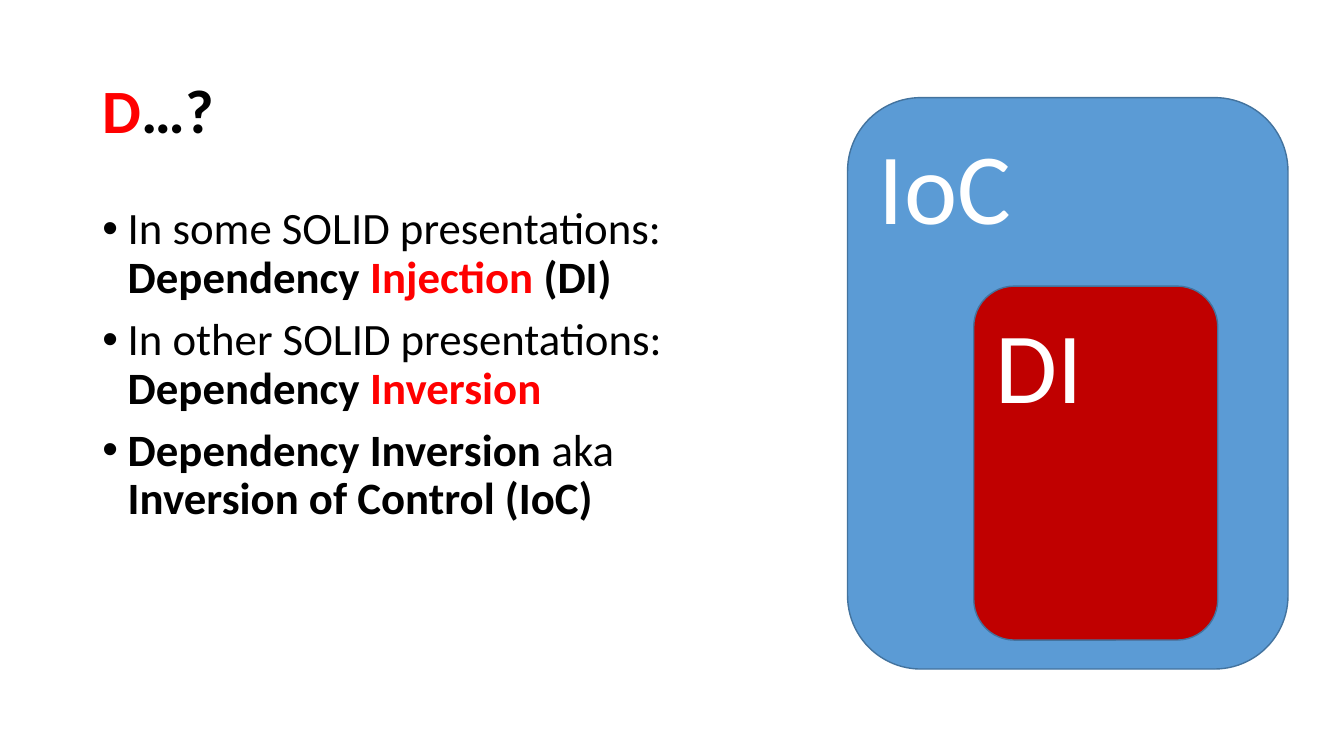
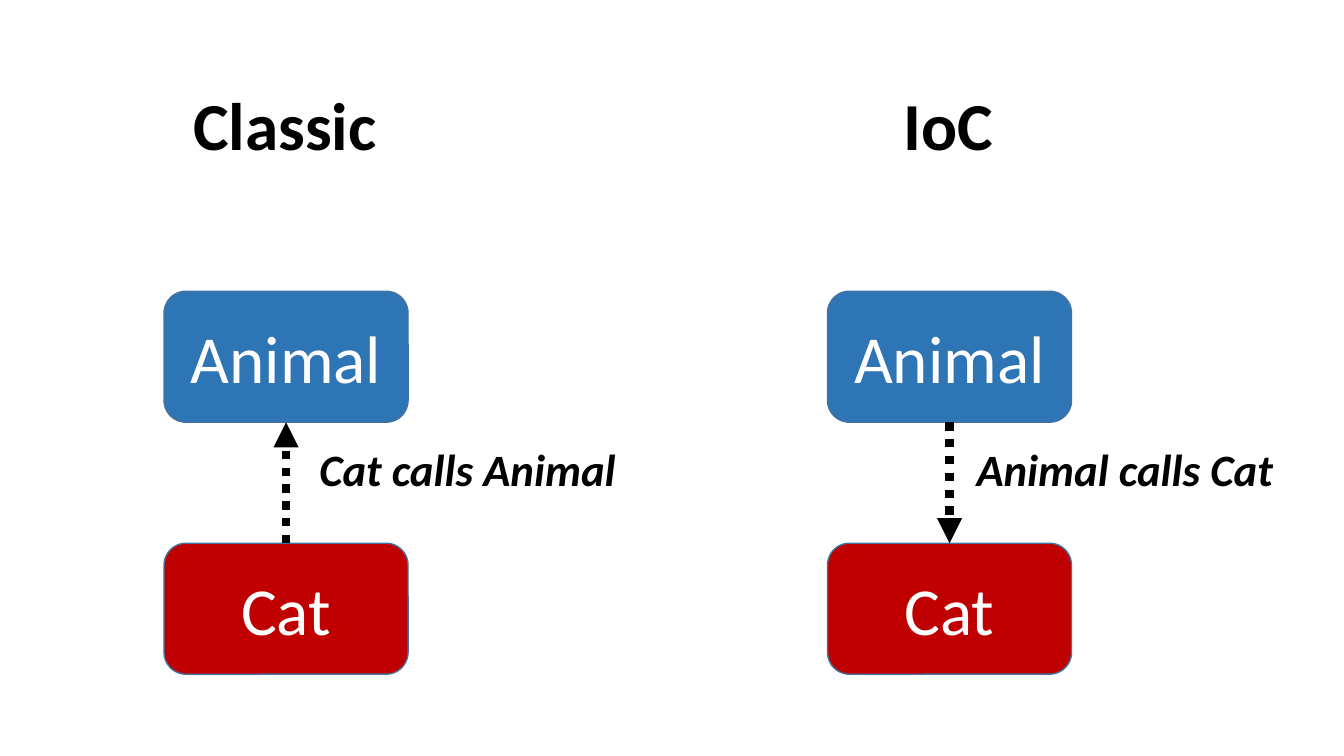
"""Build two slides on dependency injection and inversion of control."""
from lxml import etree
from pptx import Presentation
from pptx.dml.color import RGBColor
from pptx.enum import dml, shapes, text
from pptx.oxml.ns import qn
from pptx.util import Cm, Pt

FONT = "Calibri"
COLORS = {"black": "000000", "white": "FFFFFF", "accent": "FF0000", "outline": "43739E",
          "outer": "5B9BD5", "animal": "2E75B6", "red": "C00000"}

TITLE = [("D", "accent", True), ("…?", "black", True)]
BULLETS = [
    [("In some SOLID presentations: ", "black", False), ("Dependency ", "black", True),
     ("Injection ", "accent", True), ("(DI)", "black", True)],
    [("In other SOLID presentations: ", "black", False), ("Dependency ", "black", True),
     ("Inversion", "accent", True)],
    [("Dependency Inversion ", "black", True), ("aka ", "black", False),
     ("Inversion of Control (IoC)", "black", True)],
]
NESTED = [("IoC", "outer", (21.36, 2.46, 11.1, 14.4)),
          ("DI", "red", (24.54, 7.21, 6.15, 8.92))]

COLUMNS = [
    {"heading": "Classic", "heading_width": 5.18, "center": 7.21,
     "call": "Cat calls Animal", "call_left": 7.8, "upward": True},
    {"heading": "IoC", "heading_width": 2.8, "center": 23.93,
     "call": "Animal calls Cat", "call_left": 24.36, "upward": False},
]
CLASS_WIDTH, CLASS_HEIGHT = 6.15, 3.3
ANIMAL_TOP, CAT_TOP = 7.34, 13.69


def rgb(name):
    return RGBColor.from_string(COLORS[name])


def set_font(font, size, color=None, bold=None, italic=None):
    font.name, font.size, font.bold, font.italic = FONT, Pt(size), bold, italic
    if color:
        font.color.rgb = rgb(color)


def add_runs(paragraph, runs, size):
    set_font(paragraph.font, size)
    for words, color, bold in runs:
        run = paragraph.add_run()
        run.text = words
        run.font.bold = bold
        run.font.color.rgb = rgb(color)


def add_bullet(paragraph):
    properties = paragraph._p.get_or_add_pPr()
    properties.set("marL", str(Cm(0.64)))
    properties.set("indent", str(-Cm(0.64)))
    etree.SubElement(properties, qn("a:buFont"), typeface="Arial")
    etree.SubElement(properties, qn("a:buChar"), char="•")


def add_box(slide, words, fill, place, size, centered=False):
    box = slide.shapes.add_shape(shapes.MSO_SHAPE.ROUNDED_RECTANGLE, *map(Cm, place))
    box.shadow.inherit = False
    box.fill.solid()
    box.fill.fore_color.rgb = rgb(fill)
    box.line.color.rgb = rgb("outline")
    box.line.width = Pt(1)
    frame = box.text_frame
    frame.text = words
    frame.vertical_anchor = text.MSO_ANCHOR.MIDDLE if centered else text.MSO_ANCHOR.TOP
    paragraph = frame.paragraphs[0]
    paragraph.alignment = text.PP_ALIGN.CENTER if centered else text.PP_ALIGN.LEFT
    set_font(paragraph.font, size, "white")
    return box


def add_label(slide, words, place, size, italic=False):
    frame = slide.shapes.add_textbox(*map(Cm, place)).text_frame
    frame.word_wrap = False
    frame.auto_size = text.MSO_AUTO_SIZE.SHAPE_TO_FIT_TEXT
    frame.text = words
    set_font(frame.paragraphs[0].font, size, "black", True, italic)


def add_call_arrow(slide, caller, callee, upward):
    arrow = slide.shapes.add_connector(shapes.MSO_CONNECTOR.STRAIGHT, 0, 0, 0, 0)
    start, end = (0, 2) if upward else (2, 0)
    arrow.begin_connect(caller, start)
    arrow.end_connect(callee, end)
    arrow.line.color.rgb = rgb("black")
    arrow.line.width = Pt(6)
    arrow.line.dash_style = dml.MSO_LINE.ROUND_DOT
    etree.SubElement(arrow.line._get_or_add_ln(), qn("a:tailEnd"), type="triangle")
    etree.SubElement(arrow._element.spPr, qn("a:effectLst"))


def build_meaning(deck):
    slide = deck.slides.add_slide(deck.slide_layouts[5])
    title = slide.shapes.title
    title.left, title.top, title.width, title.height = map(Cm, (2.33, 1.01, 29.21, 3.68))
    title.text_frame.vertical_anchor = text.MSO_ANCHOR.MIDDLE
    heading = title.text_frame.paragraphs[0]
    heading.alignment = text.PP_ALIGN.LEFT
    heading.line_spacing = 0.9
    add_runs(heading, TITLE, 44)

    body = slide.shapes.add_textbox(*map(Cm, (2.33, 5.07, 15.93, 12.09))).text_frame
    body.word_wrap = True
    for index, runs in enumerate(BULLETS):
        paragraph = body.add_paragraph() if index else body.paragraphs[0]
        add_bullet(paragraph)
        paragraph.line_spacing = 0.9
        paragraph.space_before = Pt(10 if index else 0)
        add_runs(paragraph, runs, 32)

    for words, fill, place in NESTED:
        add_box(slide, words, fill, place, 72)


def build_comparison(deck):
    slide = deck.slides.add_slide(deck.slide_layouts[6])
    for column in COLUMNS:
        center, width = column["center"], column["heading_width"]
        left = center - CLASS_WIDTH / 2
        cat = add_box(slide, "Cat", "red", (left, CAT_TOP, CLASS_WIDTH, CLASS_HEIGHT), 48, True)
        animal = add_box(slide, "Animal", "animal",
                         (left, ANIMAL_TOP, CLASS_WIDTH, CLASS_HEIGHT), 48, True)
        caller, callee = (cat, animal) if column["upward"] else (animal, cat)
        add_call_arrow(slide, caller, callee, column["upward"])
        add_label(slide, column["call"], (column["call_left"], 11, 8.05, 1.63), 32, True)
        add_label(slide, column["heading"], (center - width / 2, 1.98, width, 2.31), 48)


def main():
    deck = Presentation()
    deck.slide_width, deck.slide_height = Cm(33.87), Cm(19.05)
    build_meaning(deck)
    build_comparison(deck)
    deck.save("out.pptx")


if __name__ == "__main__":
    main()
